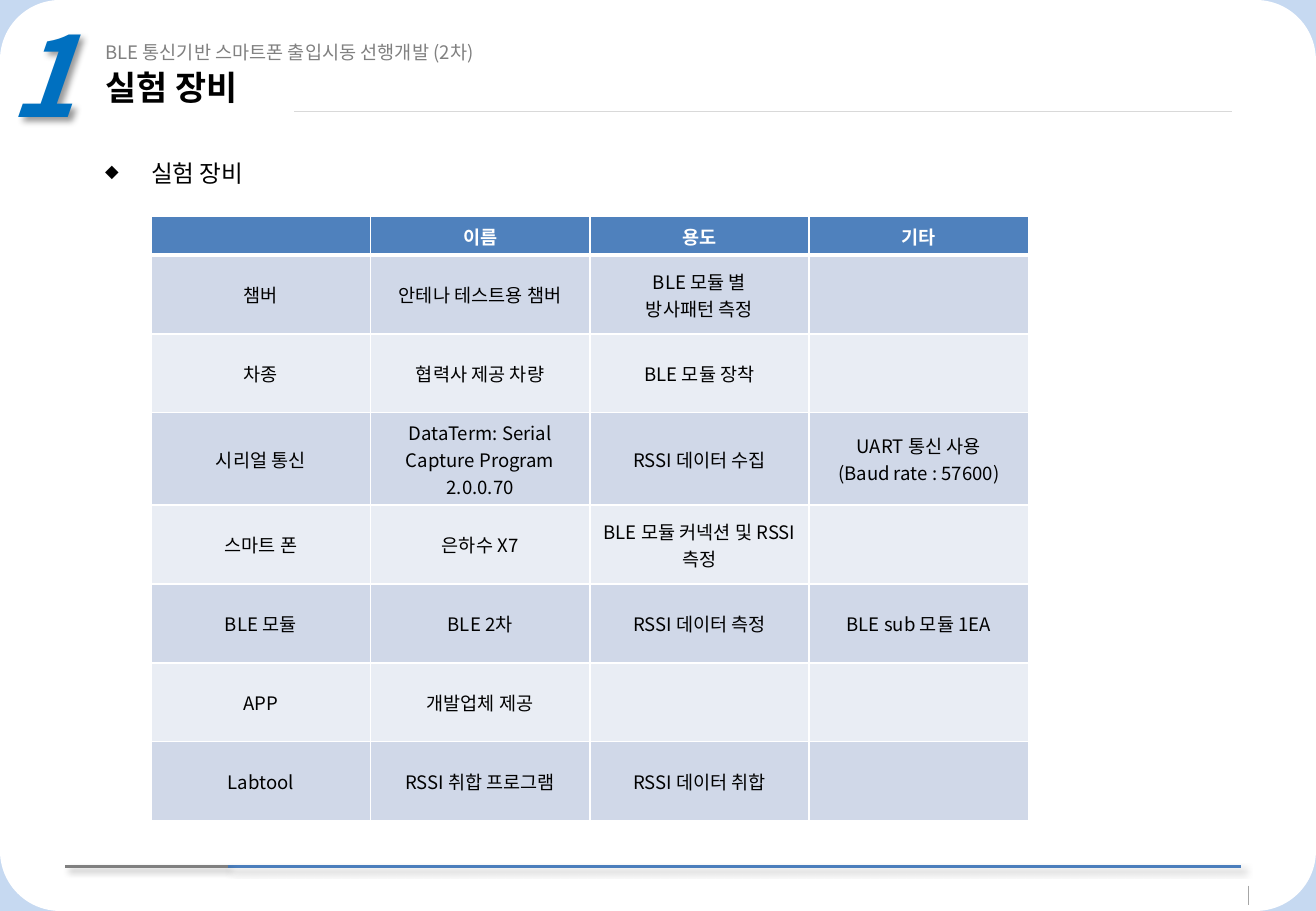
from lxml import etree
from pptx import Presentation
from pptx import util as u
from pptx.dml.color import RGBColor
from pptx.enum import shapes, text
from pptx.oxml import ns

FONT = "Noto Sans CJK KR"
COLORS = {
    "backdrop": "C6D9F1", "white": "FFFFFF", "black": "000000",
    "number": "0070C0", "subtitle": "808080", "header": "4F81BD",
    "odd": "D0D8E8", "even": "E9EDF4", "title_rule": "D9D9D9",
    "page_mark": "A6A6A6", "footer_blue": "4B7EBC", "footer_gray": "808080",
}
HEADINGS = ["", "이름", "용도", "기타"]
EQUIPMENT = [
    ["챔버", "안테나 테스트용 챔버", "BLE 모듈 별\n방사패턴 측정", ""],
    ["차종", "협력사 제공 차량", "BLE 모듈 장착", ""],
    ["시리얼 통신", "DataTerm: Serial Capture Program 2.0.0.70",
     "RSSI 데이터 수집", "UART 통신 사용\n(Baud rate : 57600)"],
    ["스마트 폰", "은하수 X7", "BLE 모듈 커넥션 및 RSSI 측정", ""],
    ["BLE 모듈", "BLE 2차", "RSSI 데이터 측정", "BLE sub 모듈 1EA"],
    ["APP", "개발업체 제공", "", ""],
    ["Labtool", "RSSI 취합 프로그램", "RSSI 데이터 취합", ""],
]
ROW_HEIGHT = 1.65
SPECIAL_HEIGHTS = {0: 0.8, 3: 1.93}  # header and the three-line row


def rgb(name):
    """Return the named colour."""
    return RGBColor.from_string(COLORS[name])


def add_child(parent, tag, **attributes):
    """Append a DrawingML element and return it."""
    return etree.SubElement(parent, ns.qn(tag), attributes)


def add_effects(shape, shadow=False):
    """Replace the theme effects by none or by a soft shadow."""
    effects = add_child(shape._element.spPr, "a:effectLst")
    if shadow:
        outer = add_child(effects, "a:outerShdw", blurRad="50800", dist="38100",
                          dir="2700000", algn="tl", rotWithShape="0")
        black = add_child(outer, "a:srgbClr", val=COLORS["black"])
        add_child(black, "a:alpha", val="40000")


def write(frame, content, size=11, color="black", bold=False, italic=False,
          align=text.PP_ALIGN.LEFT):
    """Fill a text frame, one paragraph for each line of content."""
    for index, line in enumerate(content.split("\n")):
        paragraph = frame.add_paragraph() if index else frame.paragraphs[0]
        paragraph.alignment = align
        if not line:
            paragraph._p.get_or_add_endParaRPr().set("sz", str(size * 100))
            continue
        run = paragraph.add_run()
        run.text = line
        run.font.name = FONT
        run.font.size = u.Pt(size)
        run.font.bold = bold
        run.font.italic = italic
        run.font.color.rgb = rgb(color)
        add_child(run._r.get_or_add_rPr(), "a:ea", typeface=FONT)


def add_label(slide, box, content, anchor=text.MSO_ANCHOR.TOP, wrap=True, **style):
    """Add a text box at left, top, width, height in cm."""
    label = slide.shapes.add_textbox(*map(u.Cm, box))
    label.text_frame.word_wrap = wrap
    label.text_frame.vertical_anchor = anchor
    write(label.text_frame, content, **style)
    return label


def add_bullet(label, mark, indent):
    """Give the first paragraph a small bullet with a hanging indent in cm."""
    properties = label.text_frame.paragraphs[0]._p.get_or_add_pPr()
    properties.set("marL", str(u.Cm(indent)))
    properties.set("indent", str(-u.Cm(indent)))
    add_child(properties, "a:buSzPct", val="75000")
    add_child(properties, "a:buChar", char=mark)


def add_rule(slide, start, end, color, width=0.75, shadow=False):
    """Draw a straight line between two points in cm."""
    rule = slide.shapes.add_connector(shapes.MSO_CONNECTOR.STRAIGHT,
                                      *map(u.Cm, start + end))
    rule.line.color.rgb = rgb(color)
    rule.line.width = u.Pt(width)
    add_effects(rule, shadow)


def add_panel(slide, width, height):
    """Cover the slide with a white panel with rounded corners."""
    panel = slide.shapes.add_shape(shapes.MSO_SHAPE.ROUNDED_RECTANGLE,
                                   0, 0, width, height)
    panel.adjustments[0] = 0.066
    panel.fill.solid()
    panel.fill.fore_color.rgb = rgb("white")
    panel.line.fill.background()
    panel.shadow.inherit = False


def style_cell(cell, fill, top=1, bottom=1):
    """Set the fill and the white borders of a cell, widths in points."""
    properties = cell._tc.get_or_add_tcPr()
    for side, width in (("L", 1), ("R", 1), ("T", top), ("B", bottom)):
        border = add_child(properties, f"a:ln{side}", w=str(u.Pt(width)))
        paint = add_child(border, "a:solidFill")
        add_child(paint, "a:srgbClr", val=COLORS["white"])
    cell.fill.solid()
    cell.fill.fore_color.rgb = rgb(fill)
    cell.vertical_anchor = text.MSO_ANCHOR.MIDDLE


def add_equipment_table(slide):
    """Add the equipment table with a header and banded rows."""
    rows = [HEADINGS] + EQUIPMENT
    heights = [SPECIAL_HEIGHTS.get(r, ROW_HEIGHT) for r in range(len(rows))]
    table = slide.shapes.add_table(len(rows), len(HEADINGS), u.Cm(3.16), u.Cm(4.53),
                                   u.Cm(18.34), u.Cm(sum(heights))).table
    for r, values in enumerate(rows):
        header = r == 0
        table.rows[r].height = u.Cm(heights[r])
        fill = "header" if header else "odd" if r % 2 else "even"
        for c, value in enumerate(values):
            cell = table.cell(r, c)
            style_cell(cell, fill, top=3 if r == 1 else 1, bottom=3 if header else 1)
            write(cell.text_frame, value, bold=header,
                  color="white" if header else "black", align=text.PP_ALIGN.CENTER)


def main():
    """Build the equipment slide."""
    deck = Presentation()
    deck.slide_width, deck.slide_height = u.Cm(27.51), u.Cm(19.05)
    slide = deck.slides.add_slide(deck.slide_layouts[6])
    slide.background.fill.solid()
    slide.background.fill.fore_color.rgb = rgb("backdrop")

    add_panel(slide, deck.slide_width, deck.slide_height)
    add_rule(slide, (26.1, 18.52), (26.1, 18.92), "page_mark")
    add_rule(slide, (25.75, 2.33), (6.15, 2.33), "title_rule")
    add_rule(slide, (4.76, 18.12), (25.95, 18.12), "footer_blue", 1.5, shadow=True)
    add_rule(slide, (1.36, 18.12), (4.76, 18.12), "footer_gray", 1.5, shadow=True)

    middle = text.MSO_ANCHOR.MIDDLE
    number = add_label(slide, (-0.05, 0.17, 2.0, 2.72), "1", anchor=middle, size=66,
                       color="number", bold=True, italic=True)
    add_effects(number, shadow=True)
    add_label(slide, (1.95, 1.32, 24.77, 1.0), "실험 장비", anchor=middle,
              size=20, bold=True)
    add_label(slide, (1.95, 0.73, 19.25, 0.73),
              "BLE 통신기반 스마트폰 출입시동 선행개발 (2차)", color="subtitle")
    add_equipment_table(slide)
    section = add_label(slide, (1.95, 3.2, 3.63, 0.86), "실험 장비", wrap=False, size=14)
    add_bullet(section, "◆", 0.96)

    deck.save("out.pptx")


if __name__ == "__main__":
    main()
